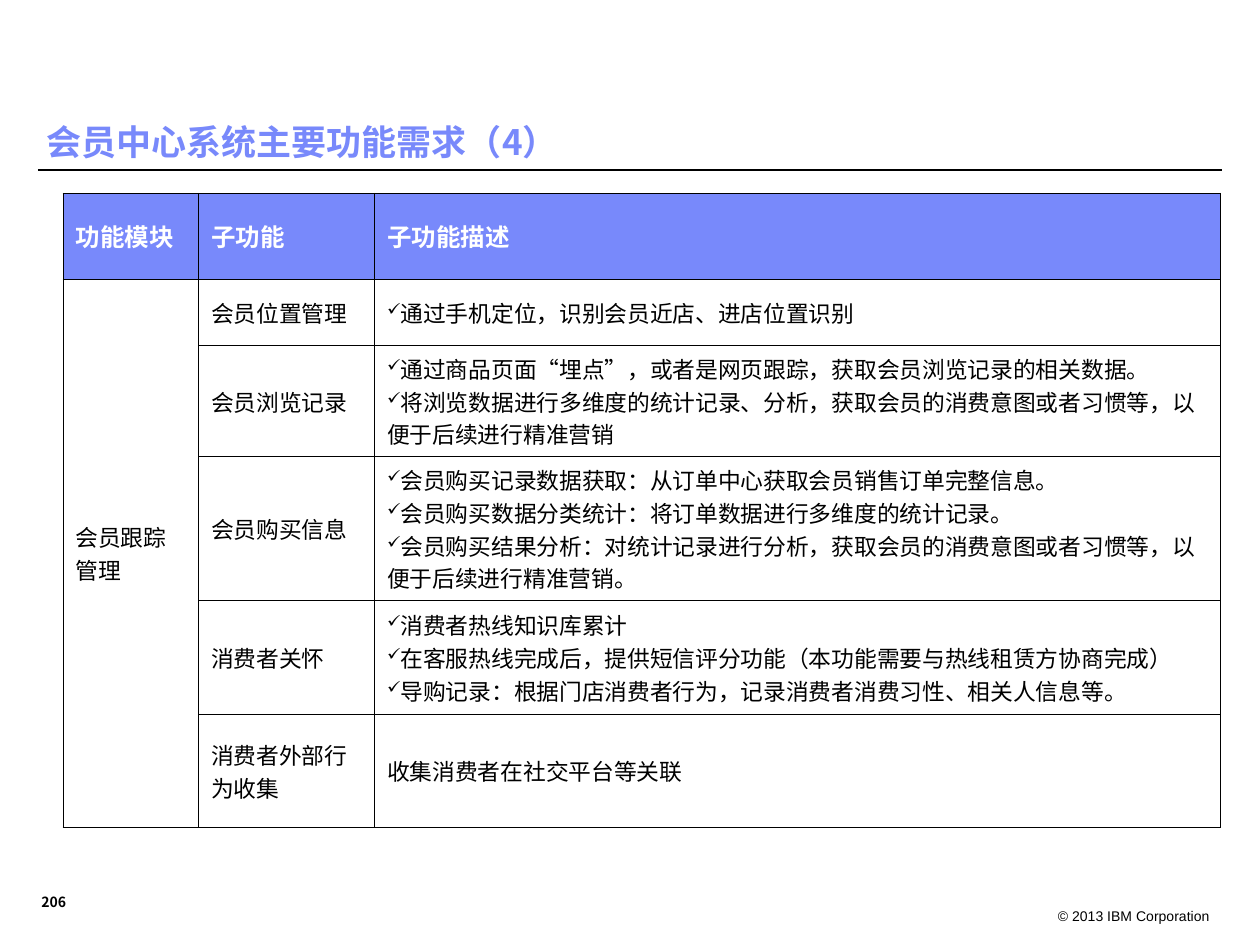
from lxml import etree
from pptx import Presentation
from pptx import util as u
from pptx.dml.color import RGBColor
from pptx.enum import shapes, text
from pptx.oxml.ns import qn

BLUE = RGBColor(0x78, 0x89, 0xFB)
WHITE = RGBColor(0xFF, 0xFF, 0xFF)
BLACK = RGBColor(0, 0, 0)
SANS = "Noto Sans CJK SC"
MID = text.MSO_ANCHOR.MIDDLE
LOW = text.MSO_ANCHOR.BOTTOM

COLS = [77.5, 100.6, 483.1]
ROWS = [49, 38.2, 63.5, 82.3, 64.8, 64.8]
HEADS = ["功能模块", "子功能", "子功能描述"]
MODULE = "会员跟踪管理"
ITEMS = [
    ("会员位置管理", ["通过手机定位，识别会员近店、进店位置识别"]),
    ("会员浏览记录", [
        "通过商品页面“埋点”，或者是网页跟踪，获取会员浏览记录的相关数据。",
        "将浏览数据进行多维度的统计记录、分析，获取会员的消费意图或者习惯等，以便于后续进行精准营销"]),
    ("会员购买信息", [
        "会员购买记录数据获取：从订单中心获取会员销售订单完整信息。",
        "会员购买数据分类统计：将订单数据进行多维度的统计记录。",
        "会员购买结果分析：对统计记录进行分析，获取会员的消费意图或者习惯等，以便于后续进行精准营销。"]),
    ("消费者关怀", [
        "消费者热线知识库累计",
        "在客服热线完成后，提供短信评分功能（本功能需要与热线租赁方协商完成）",
        "导购记录：根据门店消费者行为，记录消费者消费习性、相关人信息等。"]),
    ("消费者外部行为收集", ["收集消费者在社交平台等关联"]),
]


def add(node, tag, **attrs):
    return etree.SubElement(node, qn(tag), **attrs)


def tick(para):
    props = para._p.get_or_add_pPr()
    props.set("marL", "0")
    props.set("indent", "0")
    add(add(props, "a:buClr"), "a:srgbClr", val=str(BLACK))
    add(props, "a:buSzPct", val="75000")
    add(props, "a:buChar", char="✓")


def write(frame, lines, size=13, color=BLACK, bold=False, face=SANS,
          align=None, space=None, ticks=False):
    for i, line in enumerate(lines):
        para = frame.paragraphs[0] if i == 0 else frame.add_paragraph()
        if align is not None:
            para.alignment = align
        if space:
            para.line_spacing = space
        if ticks:
            tick(para)
        run = para.add_run()
        run.text = line
        font = run.font
        font.size, font.bold, font.name = u.Pt(size), bold, face
        font.color.rgb = color
        add(run._r.get_or_add_rPr(), "a:ea", typeface=face)


def label(slide, line, x, y, w, h, anchor=None, **form):
    frame = slide.shapes.add_textbox(*map(u.Pt, (x, y, w, h))).text_frame
    frame.word_wrap = True
    if anchor is not None:
        frame.vertical_anchor = anchor
    write(frame, [line], **form)


def rule(slide, x, y, end):
    line = slide.shapes.add_connector(
        shapes.MSO_CONNECTOR.STRAIGHT, *map(u.Pt, (x, y, end, y)))
    line.line.color.rgb = BLACK
    line.line.width = u.Pt(0.75)
    add(line._element.spPr, "a:effectLst")


def edge(cell):
    props = cell._tc.get_or_add_tcPr()
    for side in "LRTB":
        line = add(props, "a:ln" + side, w=str(u.Pt(0.5)))
        add(add(line, "a:solidFill"), "a:srgbClr", val=str(BLACK))


def fill(cell, lines, back=WHITE, **form):
    cell.vertical_anchor = MID
    cell.fill.solid()
    cell.fill.fore_color.rgb = back
    write(cell.text_frame, lines, **form)


def grid(slide):
    table = slide.shapes.add_table(
        len(ROWS), len(COLS), u.Pt(36), u.Pt(110.4),
        u.Pt(sum(COLS)), u.Pt(sum(ROWS))).table
    for col, width in zip(table.columns, COLS):
        col.width = u.Pt(width)
    for row, height in zip(table.rows, ROWS):
        row.height = u.Pt(height)
    for cell in table.iter_cells():
        edge(cell)
    for i, head in enumerate(HEADS):
        fill(table.cell(0, i), [head], BLUE, size=14, color=WHITE, bold=True)
    table.cell(1, 0).merge(table.cell(len(ITEMS), 0))
    fill(table.cell(1, 0), [MODULE])
    for i, (name, notes) in enumerate(ITEMS, 1):
        fill(table.cell(i, 1), [name])
        fill(table.cell(i, 2), notes, ticks=i < len(ITEMS))


def main():
    deck = Presentation()
    deck.slide_width, deck.slide_height = u.Pt(720), u.Pt(540)
    slide = deck.slides.add_slide(deck.slide_layouts[6])
    rule(slide, 21.6, 97.2, 698.4)
    label(slide, "© 2013 IBM Corporation", 590.4, 514.8, 108, 14.4,
          size=8, face="Arial", align=text.PP_ALIGN.RIGHT)
    grid(slide)
    label(slide, "会员中心系统主要功能需求（4）", 19.4, 61.2, 684, 35.3,
          anchor=LOW, size=20, color=BLUE, bold=True, space=0.9)
    label(slide, "206", 16.6, 506.2, 31.7, 17.3, anchor=LOW, size=8, bold=True)
    deck.save("out.pptx")


if __name__ == "__main__":
    main()
